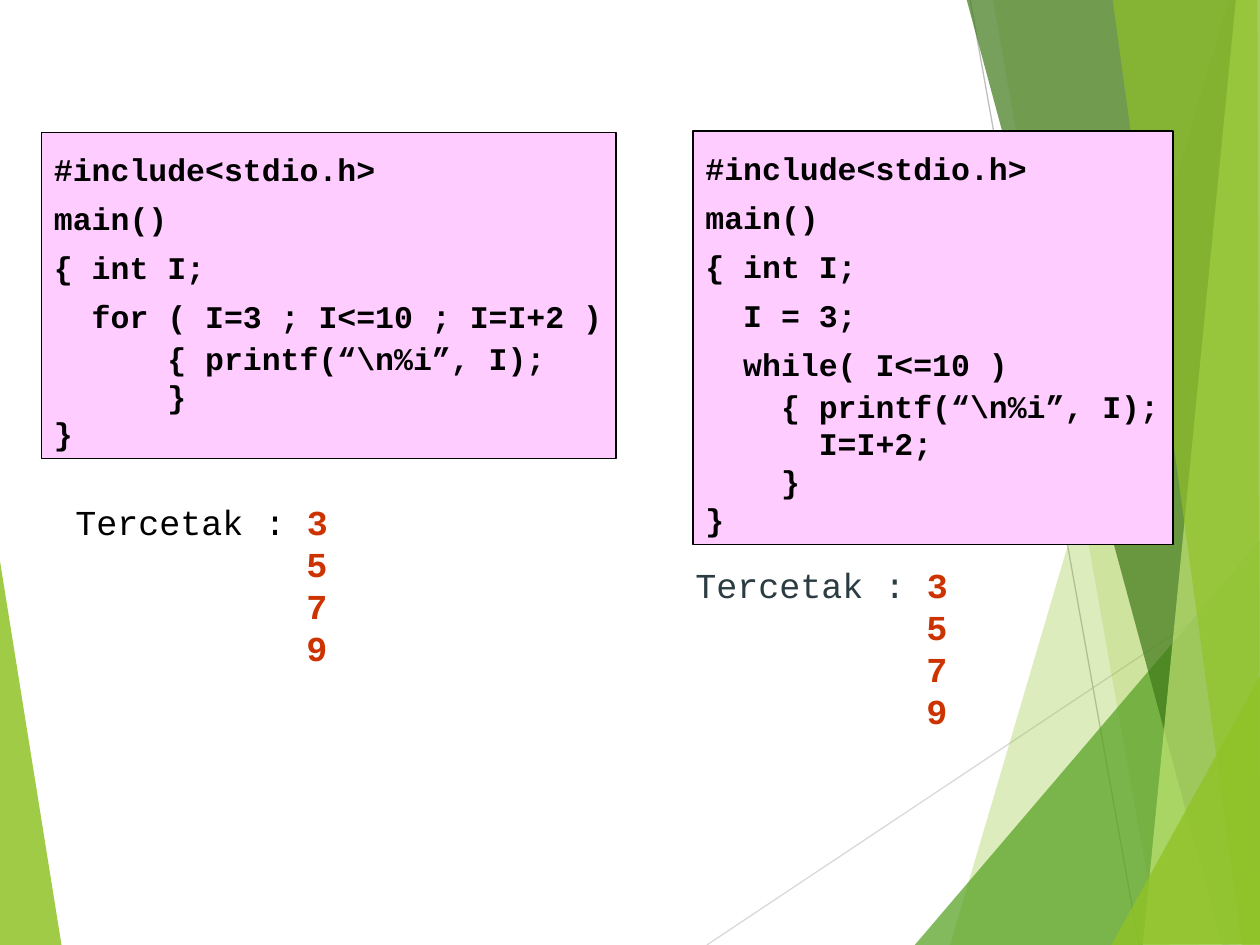
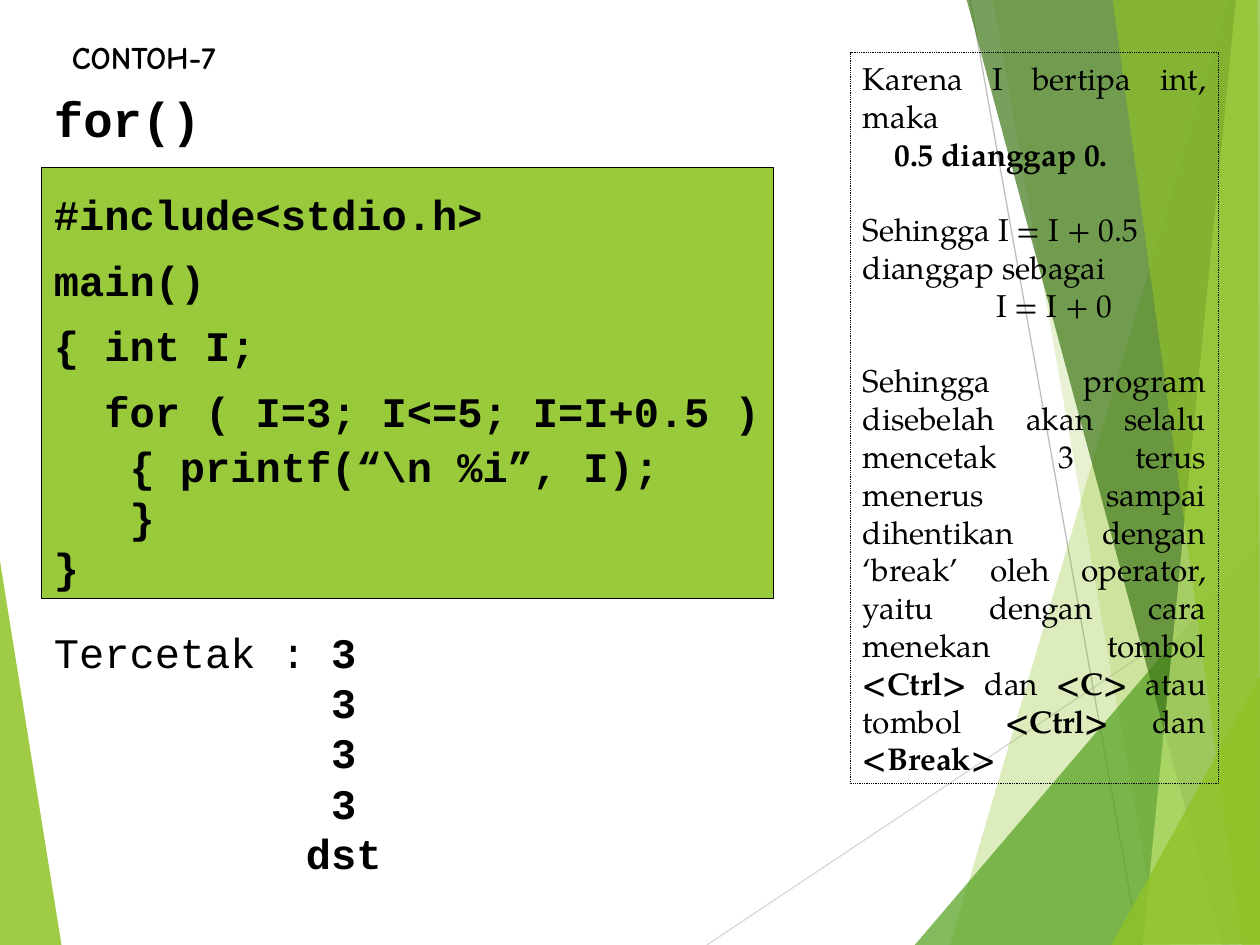
from pptx import Presentation
from pptx import util as u
from pptx.dml.color import RGBColor
from pptx.enum import dml, shapes, text
from pptx.oxml.ns import qn
from lxml import etree

PX = 9144  # EMU in one px, 100 px to the inch
PAGE_WIDTH, PAGE_HEIGHT = 1000, 750
MONO, SERIF, CASUAL = "Courier New", "TeX Gyre Pagella", "Comic Neue"
BLACK, SLATE, RED = "000000", "2C3C43", "CC3300"
PINK, GREEN = "FFCCFF", "99CA3C"
LIME, LEAF, FOREST, PALE = "90C226", "54A021", "3F7819", "C0E474"

# colour, opacity in percent, corners
LEFT_FACET = (LIME, 85, [(-1, 439), (49, 751), (-1, 750)])
RIGHT_FACETS = [
    (LIME, 30, [(975, 0), (754, 750), (1002, 751), (1001, 1)]),
    (LIME, 20, [(788, -1), (920, 750), (1001, 750), (1001, -1)]),
    (LEAF, 72, [(726, 750), (1000, 429), (1001, 750)]),
    (FOREST, 70, [(767, -1), (970, 750), (1001, 749), (1001, -1)]),
    (PALE, 70, [(981, -1), (907, 750), (1001, 750), (1000, -1)]),
    (LIME, 65, [(883, -1), (986, 750), (1000, 750), (998, -1)]),
    (LIME, 80, [(882, 750), (1001, 535), (1001, 749)]),
]
# colour, start, end
RAYS = [("D9D9D9", (561, 750), (1001, 457)), ("BFBFBF", (770, 0), (904, 750))]

FOR_CODE = r"""#include<stdio.h>
main()
{ int I;
  for ( I=3 ; I<=10 ; I=I+2 )
      { printf(“\n%i”, I);
      }
}"""

WHILE_CODE = r"""#include<stdio.h>
main()
{ int I;
  I = 3;
  while( I<=10 )
    { printf(“\n%i”, I);
      I=I+2;
    }
}"""

HALF_STEP_CODE = r"""#include<stdio.h>
main()
{ int I;
  for ( I=3; I<=5; I=I+0.5 )
   { printf(“\n %i”, I);
   }
}"""

# indent in px, space before in points, spans of (words, bold)
NOTE = [
    (0, 0, [("Karena I bertipa int, maka", False)]),
    (25, 0, [("0.5 dianggap 0.", True)]),
    (0, 21.6, [("Sehingga I = I + 0.5", False)]),
    (0, 0, [("dianggap sebagai", False)]),
    (106, 0, [("I = I + 0", False)]),
    (0, 21.6, [
        ("Sehingga program disebelah akan selalu mencetak 3 terus menerus sampai "
         "dihentikan dengan ‘break’ oleh operator, yaitu dengan cara menekan tombol ", False),
        ("<Ctrl>", True), (" dan ", False), ("<C> ", True), ("atau tombol ", False),
        ("<Ctrl>", True), (" dan ", False), ("<Break>", True)]),
]


def rgb(color):
    return RGBColor.from_string(color)


def emu(lengths):
    return [u.Emu(length * PX) for length in lengths]


def set_font(para, name, size, color=BLACK, bold=False):
    font = para.font
    font.name, font.size, font.bold = name, u.Pt(size), bold
    font.color.rgb = rgb(color)


def indent(para, width):
    properties = para._p.get_or_add_pPr()
    properties.set("marL", str(int(width)))
    properties.set("indent", "0")


def indent_columns(para, columns, size):
    """Indent by a number of monospaced characters, each 0.6 em wide."""
    indent(para, columns * 0.6 * u.Pt(size))


def paragraphs(frame, count):
    return [frame.paragraphs[0]] + [frame.add_paragraph() for _ in range(count - 1)]


def hug_text(frame):
    frame.word_wrap = False
    frame.auto_size = text.MSO_AUTO_SIZE.SHAPE_TO_FIT_TEXT
    frame.vertical_anchor = text.MSO_ANCHOR.TOP


def add_facet(page, color, opacity, corners):
    builder = page.shapes.build_freeform(*corners[0], scale=PX)
    builder.add_line_segments(corners[1:], close=True)
    facet = builder.convert_to_shape()
    facet.shadow.inherit = False
    facet.line.fill.background()
    facet.fill.solid()
    facet.fill.fore_color.rgb = rgb(color)
    tint = facet._element.spPr.find(".//" + qn("a:srgbClr"))
    etree.SubElement(tint, qn("a:alpha")).set("val", str(opacity * 1000))


def add_ray(page, color, start, end):
    ray = page.shapes.add_connector(shapes.MSO_CONNECTOR.STRAIGHT, *emu(start + end))
    ray.line.color.rgb = rgb(color)
    ray.line.width = u.Pt(0.75)
    etree.SubElement(ray._element.spPr, qn("a:effectLst"))


def add_backdrop(deck, page):
    """Draw the facets on a page, then move them to the master for all pages."""
    add_facet(page, *LEFT_FACET)
    for ray in RAYS:
        add_ray(page, *ray)
    for facet in RIGHT_FACETS:
        add_facet(page, *facet)
    master_tree = deck.slide_master.shapes._spTree
    for number, shape in enumerate(list(page.shapes), start=100):
        shape._element.xpath(".//p:cNvPr")[0].set("id", str(number))
        master_tree.append(shape._element)


def add_panel(page, box, fill, line_width):
    panel = page.shapes.add_shape(shapes.MSO_SHAPE.RECTANGLE, *emu(box))
    panel.shadow.inherit = False
    if fill:
        panel.fill.solid()
        panel.fill.fore_color.rgb = rgb(fill)
    else:
        panel.fill.background()
    panel.line.color.rgb = rgb(BLACK)
    panel.line.width = u.Pt(line_width)
    return panel


def add_code(page, box, code, size, fill, line_width):
    """Show a program: loose lines above the printf line, tight ones below it."""
    frame = add_panel(page, box, fill, line_width).text_frame
    hug_text(frame)
    lines = code.splitlines()
    body = next(row for row, line in enumerate(lines) if "printf" in line)
    for row, (line, para) in enumerate(zip(lines, paragraphs(frame, len(lines)))):
        words = line.lstrip()
        para.text = words
        para.alignment = text.PP_ALIGN.LEFT
        para.line_spacing = 1.3 if row < body else 1.1 if row == body else 1.0
        indent_columns(para, len(line) - len(words), size)
        set_font(para, MONO, size, bold=True)


def add_output(page, box, values, size, label_color=BLACK, value_color=BLACK):
    """List printed values in one column, the first one after its label."""
    label = "Tercetak : "
    frame = page.shapes.add_textbox(*emu(box)).text_frame
    hug_text(frame)
    for row, (value, para) in enumerate(zip(values, paragraphs(frame, len(values)))):
        set_font(para, MONO, size, value_color, bold=True)
        if row == 0:
            span = para.add_run()
            span.text = label
            span.font.bold = False
            span.font.color.rgb = rgb(label_color)
        else:
            indent_columns(para, len(label) - len(value) // 2, size)
        para.add_run().text = value


def add_note(page, box):
    panel = add_panel(page, box, None, 0.5)
    panel.line.dash_style = dml.MSO_LINE.ROUND_DOT
    frame = panel.text_frame
    frame.word_wrap = True
    frame.vertical_anchor = text.MSO_ANCHOR.TOP
    for (left, gap, spans), para in zip(NOTE, paragraphs(frame, len(NOTE))):
        para.alignment = text.PP_ALIGN.JUSTIFY
        para.space_before = u.Pt(gap)
        indent(para, left * PX)
        set_font(para, SERIF, 18)
        for words, bold in spans:
            span = para.add_run()
            span.text = words
            span.font.bold = bold


def add_heading(shape, box, words, font_name, size):
    shape.left, shape.top, shape.width, shape.height = emu(box)
    hug_text(shape.text_frame)
    para = shape.text_frame.paragraphs[0]
    para.text = words
    para.alignment = text.PP_ALIGN.LEFT
    set_font(para, font_name, size, bold=True)


def build_loop_comparison(page):
    odd_numbers = ["3", "5", "7", "9"]
    add_code(page, (33, 105, 456, 259), FOR_CODE, 18, PINK, 0.75)
    add_output(page, (50, 392, 230, 144), odd_numbers, 20, BLACK, RED)
    add_code(page, (550, 104, 381, 328), WHILE_CODE, 18, PINK, 0.75)
    add_output(page, (542, 442, 230, 144), odd_numbers, 20, SLATE, RED)


def build_endless_loop(page):
    add_heading(page.shapes.title, (47, 25, 136, 40), "CONTOH-7", CASUAL, 18)
    subheading = page.shapes.add_textbox(0, 0, 0, 0)
    add_heading(subheading, (33, 65, 145, 57), "for()", MONO, 28)
    add_code(page, (33, 133, 581, 342), HALF_STEP_CODE, 24, GREEN, 0.5)
    add_output(page, (33, 492, 300, 210), ["3"] * 4 + ["dst"], 24)
    add_note(page, (675, 42, 292, 580))


def main():
    deck = Presentation()
    deck.slide_width, deck.slide_height = emu((PAGE_WIDTH, PAGE_HEIGHT))
    title_only, blank = deck.slide_layouts[5], deck.slide_layouts[6]
    comparison = deck.slides.add_slide(blank)
    add_backdrop(deck, comparison)
    build_loop_comparison(comparison)
    build_endless_loop(deck.slides.add_slide(title_only))
    deck.save("out.pptx")


if __name__ == "__main__":
    main()
